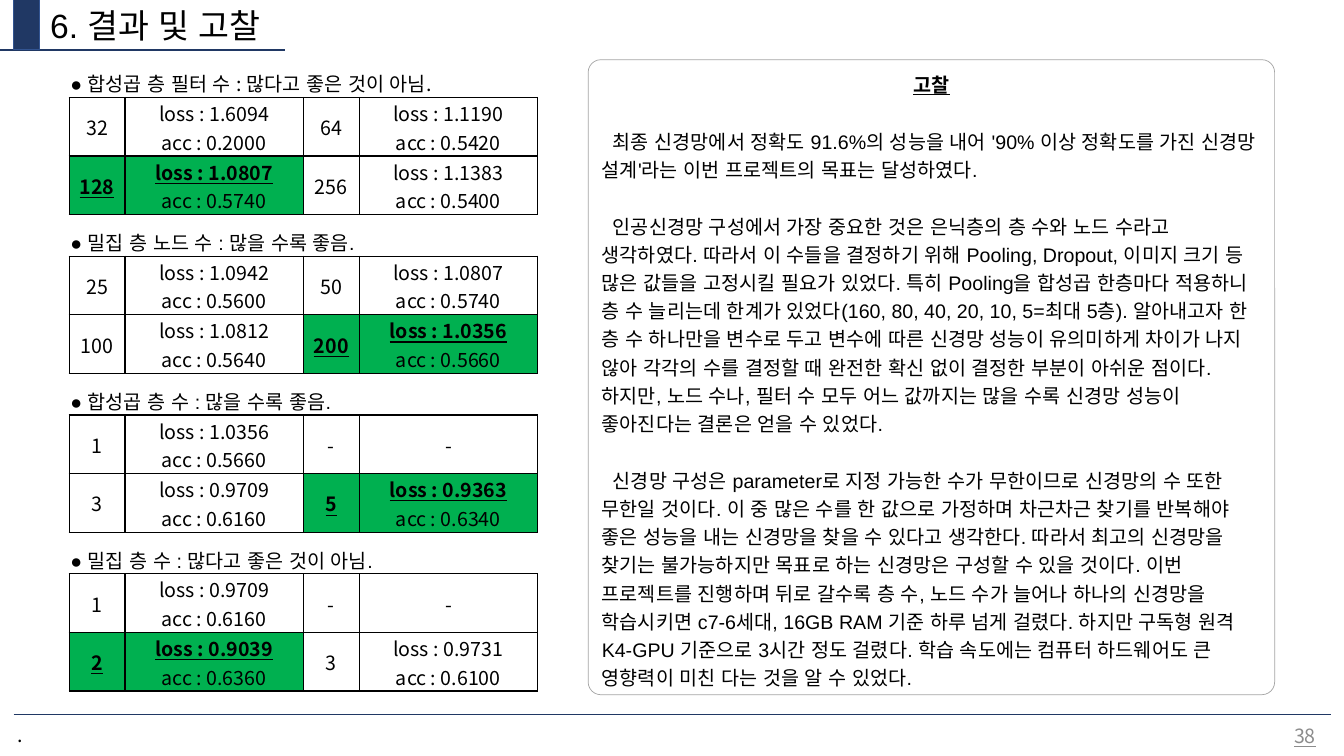
from pptx import Presentation
from pptx.util import Inches, Pt
from pptx.dml.color import RGBColor
from pptx.enum.shapes import MSO_CONNECTOR, MSO_SHAPE
from pptx.enum.text import MSO_ANCHOR, PP_ALIGN
from pptx.oxml.ns import qn
from lxml.etree import SubElement

COLORS = {"navy": "203864", "edge": "325491", "grey": "A5A5A5",
          "number": "8C8C8C", "black": "000000", "best": "00B050"}
SANS, KOREAN = "Arial", "Noto Sans CJK KR"

deck = Presentation()
deck.slide_width, deck.slide_height = Inches(13.333), Inches(7.5)
page = deck.slides.add_slide(deck.slide_layouts[6])


def place(*shares):
    """Turn percentages of the slide's width and height, in turn, into lengths."""
    sizes = (deck.slide_width, deck.slide_height) * 2
    return [int(size * share / 100) for size, share in zip(sizes, shares)]


def add_span(para, text, face=KOREAN, size=14, color="black", strong=False):
    span = para.add_run()
    span.text = text
    span.font.name, span.font.size = face, Pt(size)
    span.font.bold = span.font.underline = strong
    span.font.color.rgb = RGBColor.from_string(COLORS[color])
    SubElement(span.font._element, qn("a:ea"), typeface=SANS)
    return span


# Rules under the title and above the footer
for ends in [(0, 6.63, 21.23, 6.63), (1.02, 94.53, 99, 94.53)]:
    rule = page.shapes.add_connector(MSO_CONNECTOR.STRAIGHT, *place(*ends))
    rule.line.color.rgb = RGBColor.from_string(COLORS["navy"])
    rule.line.width = Pt(1)
    SubElement(rule._element.spPr, qn("a:effectLst"))

# Title block
marker = page.shapes.add_shape(MSO_SHAPE.RECTANGLE, *place(1.02, -0.13, 1.95, 6.67))
marker.shadow.inherit = False
marker.fill.solid()
marker.fill.fore_color.rgb = RGBColor.from_string(COLORS["navy"])
marker.line.color.rgb = RGBColor.from_string(COLORS["edge"])
marker.line.width = Pt(1)
title = page.shapes.add_textbox(*place(3, 0, 43.95, 6.67))
title.text_frame.word_wrap = True
add_span(title.text_frame.paragraphs[0], "6. 결과 및 고찰", SANS, 24)

# Footer
dot = page.shapes.add_textbox(*place(0.53, 94.93, 1.88, 4.53))
dot.text_frame.word_wrap = False
add_span(dot.text_frame.paragraphs[0], ".")
number = page.shapes.add_textbox(*place(94.2, 94.67, 5.8, 5.33))
number.text_frame.word_wrap = True
number.text_frame.vertical_anchor = MSO_ANCHOR.MIDDLE
number_para = number.text_frame.paragraphs[0]
number_para.alignment = PP_ALIGN.CENTER
add_span(number_para, "38", color="number").font.underline = True

# Experiments: heading, heading font, (setting, loss, accuracy), best setting
experiments = [
    ("● 합성곱 층 필터 수 : 많다고 좋은 것이 아님.", KOREAN,
     [("32", "1.6094", "0.2000"), ("64", "1.1190", "0.5420"),
      ("128", "1.0807", "0.5740"), ("256", "1.1383", "0.5400")], "128"),
    ("● 밀집 층 노드 수 : 많을 수록 좋음.", SANS,
     [("25", "1.0942", "0.5600"), ("50", "1.0807", "0.5740"),
      ("100", "1.0812", "0.5640"), ("200", "1.0356", "0.5660")], "200"),
    ("● 합성곱 층 수 : 많을 수록 좋음.", SANS,
     [("1", "1.0356", "0.5660"), ("-", None, None),
      ("3", "0.9709", "0.6160"), ("5", "0.9363", "0.6340")], "5"),
    ("● 밀집 층 수 : 많다고 좋은 것이 아님.", SANS,
     [("1", "0.9709", "0.6160"), ("-", None, None),
      ("2", "0.9039", "0.6360"), ("3", "0.9731", "0.6100")], "2"),
]
PITCH, ROW = 21, 7.75
for index, (heading, face, results, best) in enumerate(experiments):
    box = page.shapes.add_textbox(*place(4.5, 7.35 + index * PITCH, 31.8, 5.47))
    box.text_frame.word_wrap = False
    heading_para = box.text_frame.paragraphs[0]
    heading_para.line_spacing = 1.5
    add_span(heading_para, heading, face)

    frame = page.shapes.add_table(2, 4, *place(5.15, 12.9 + index * PITCH, 34.86, 2 * ROW))
    table = frame.table
    table.first_row = table.horz_banding = False
    for column, share in zip(table.columns, (4.15, 13.28) * 2):
        column.width = place(share)[0]
    for row in table.rows:
        row.height = place(0, ROW)[1]

    for position, (setting, loss, accuracy) in enumerate(results):
        row, pair = divmod(position, 2)
        scores = [f"loss : {loss}", f"acc : {accuracy}"] if loss else ["-"]
        for offset, lines in enumerate([[setting], scores]):
            cell = table.cell(row, 2 * pair + offset)
            cell.vertical_anchor = MSO_ANCHOR.MIDDLE
            cell.margin_top, cell.margin_bottom = Inches(0.01), 0
            for line_index, line in enumerate(lines):
                para = cell.text_frame.paragraphs[0] if line_index == 0 else cell.text_frame.add_paragraph()
                para.alignment = PP_ALIGN.CENTER
                add_span(para, line, strong=setting == best and line_index == 0)
            for side in ("a:lnL", "a:lnR", "a:lnT", "a:lnB"):
                border = SubElement(cell._tc.get_or_add_tcPr(), qn(side), w=str(Pt(1)))
                paint = SubElement(border, qn("a:solidFill"))
                SubElement(paint, qn("a:srgbClr"), val=COLORS["black"])
            if setting == best:
                cell.fill.solid()
                cell.fill.fore_color.rgb = RGBColor.from_string(COLORS["best"])
            else:
                cell.fill.background()

# Discussion panel
discussion = [
    "고찰",
    "최종 신경망에서 정확도 91.6%의 성능을 내어 '90% 이상 정확도를 가진 신경망 설계'라는 "
    "이번 프로젝트의 목표는 달성하였다.",
    "인공신경망 구성에서 가장 중요한 것은 은닉층의 층 수와 노드 수라고 생각하였다. 따라서 이 "
    "수들을 결정하기 위해 Pooling, Dropout, 이미지 크기 등 많은 값들을 고정시킬 필요가 있었다. "
    "특히 Pooling을 합성곱 한층마다 적용하니 층 수 늘리는데 한계가 있었다(160, 80, 40, 20, 10, "
    "5=최대 5층). 알아내고자 한 층 수 하나만을 변수로 두고 변수에 따른 신경망 성능이 유의미하게 "
    "차이가 나지 않아 각각의 수를 결정할 때 완전한 확신 없이 결정한 부분이 아쉬운 점이다. 하지만, "
    "노드 수나, 필터 수 모두 어느 값까지는 많을 수록 신경망 성능이 좋아진다는 결론은 얻을 수 있었다.",
    "신경망 구성은 parameter로 지정 가능한 수가 무한이므로 신경망의 수 또한 무한일 것이다. 이 중 "
    "많은 수를 한 값으로 가정하며 차근차근 찾기를 반복해야 좋은 성능을 내는 신경망을 찾을 수 있다고 "
    "생각한다. 따라서 최고의 신경망을 찾기는 불가능하지만 목표로 하는 신경망은 구성할 수 있을 "
    "것이다. 이번 프로젝트를 진행하며 뒤로 갈수록 층 수, 노드 수가 늘어나 하나의 신경망을 "
    "학습시키면 c7-6세대, 16GB RAM 기준 하루 넘게 걸렸다. 하지만 구독형 원격 K4-GPU 기준으로 "
    "3시간 정도 걸렸다. 학습 속도에는 컴퓨터 하드웨어도 큰 영향력이 미친 다는 것을 알 수 있었다.",
]
panel = page.shapes.add_shape(MSO_SHAPE.ROUNDED_RECTANGLE, *place(43.76, 7.9, 51.08, 84))
panel.adjustments[0] = 0.02
panel.shadow.inherit = False
panel.fill.background()
panel.line.color.rgb = RGBColor.from_string(COLORS["grey"])
panel.line.width = Pt(0.5)
panel.text_frame.word_wrap = True
panel.text_frame.vertical_anchor = MSO_ANCHOR.TOP
for index, text in enumerate(discussion):
    para = panel.text_frame.paragraphs[0] if index == 0 else panel.text_frame.add_paragraph()
    para.line_spacing = 1.2
    para.alignment = PP_ALIGN.LEFT if index else PP_ALIGN.CENTER
    if index:
        para.space_before = Pt(20.3)
        para._p.get_or_add_pPr().set("indent", str(Inches(0.11)))
    add_span(para, text, SANS, strong=index == 0)

deck.save("out.pptx")
